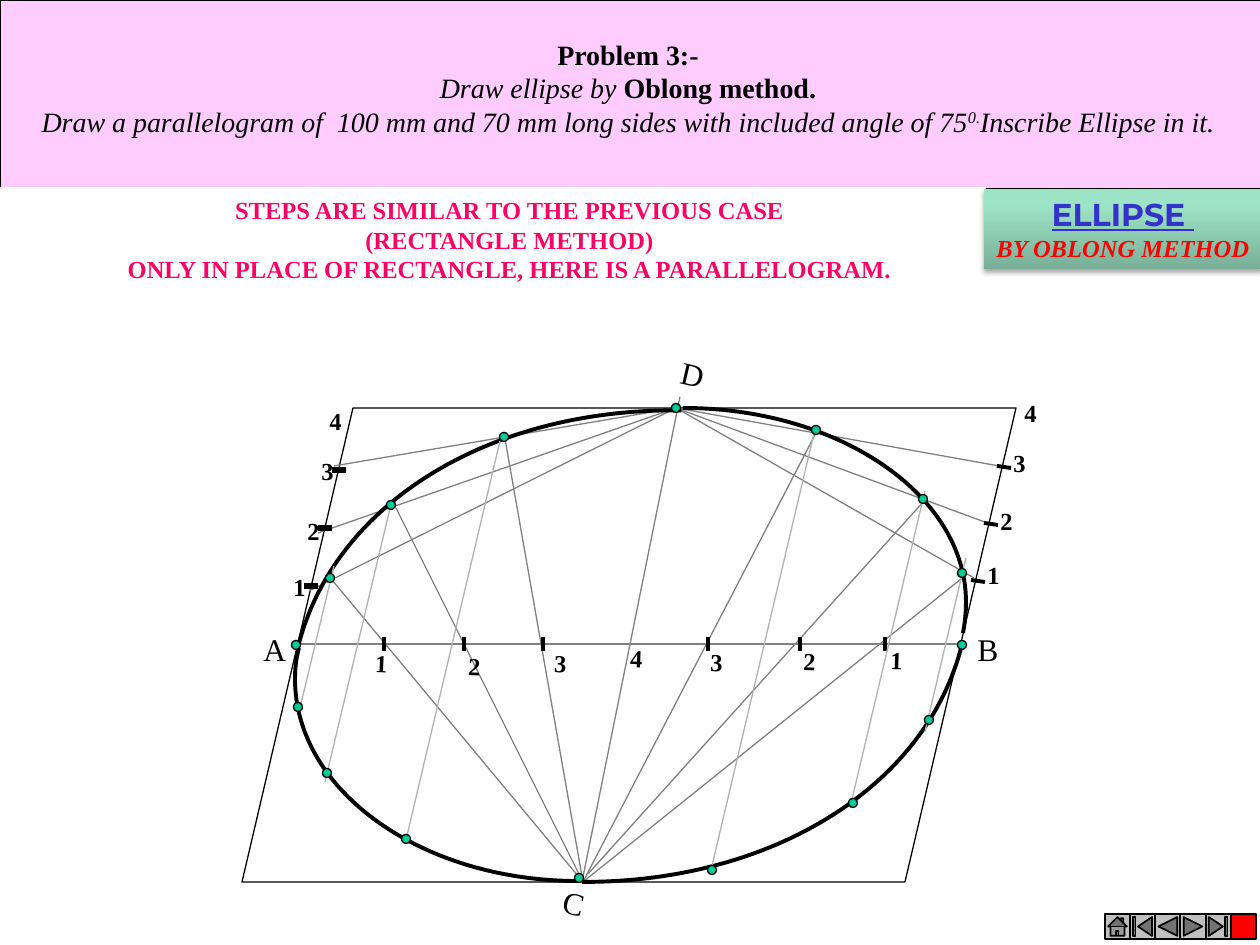
from lxml.etree import SubElement
from pptx import Presentation
from pptx.dml.color import RGBColor
from pptx.enum.shapes import MSO_CONNECTOR, MSO_SHAPE as Shape
from pptx.enum.text import MSO_ANCHOR, PP_ALIGN
from pptx.oxml import parse_xml
from pptx.oxml.ns import nsdecls, qn
from pptx.util import Pt

PX = 914400 // 126
THEME = dict(
    black="000000", white="FFFFFF", ray="808080", chord="B2B2B2", dot="00CC99",
    banner="FFCCFF", steps="FF0066", title="3333CC", method="FF0000",
    button="C0C0C0", shade="79AF98", mint="9DE3C5",
    serif="Times New Roman", sans="Montserrat",
    heading=16, vertex=18, body=14, thin=0.75, tick=2.25, heavy=3,
)

# Wording: paragraphs of (text, style) runs
PROBLEM = [
    [("Problem 3:-", "b")],
    [("Draw ellipse by ", "i"), ("Oblong method.", "b")],
    [("Draw a parallelogram of  100 mm and 70 mm long sides with included angle of 75", "i"),
     ("0.", "i^"), ("Inscribe Ellipse in it.", "i")],
]
STEPS = [
    [("STEPS ARE SIMILAR TO THE PREVIOUS CASE", "b")],
    [("(RECTANGLE METHOD)", "b")],
    [("ONLY IN PLACE OF RECTANGLE, HERE IS A PARALLELOGRAM.", "b")],
]
TOPIC = [[("ELLIPSE ", "bu")], [("BY OBLONG METHOD", "bi")]]

# Construction, in px
C, D = (583, 882), (676, 408)
OBLONG, SLANT = (242, 408, 774, 474), 111
RAYS = [
    ((680, 397), (583, 877)), ((588, 874), (925, 500)), ((301, 644), (966, 644)),
    *[(C, end) for end in [(328, 575), (396, 508), (504, 433), (966, 575), (816, 433)]],
    *[(D, end) for end in [(309, 591), (318, 533), (334, 466),
                           (974, 578), (990, 524), (999, 466)]],
]
CHORDS = [
    ((334, 566), (300, 708)), ((392, 500), (325, 782)), ((500, 441), (406, 840)),
    ((966, 558), (925, 732)), ((816, 425), (712, 866)), ((925, 491), (850, 808)),
]
AXIS_TICKS = [384, 464, 543, 708, 800, 885]
# Each arc: box, rotation, then a start and two controls and an end per cubic, within the box
LONG_ARC = [(137, 320), (323, 276), (450, 146), (451, 0)]
ARCS = [
    ((331, 384, 451, 320), 194.1, LONG_ARC),
    ((480, 587, 451, 320), 13.5, LONG_ARC),
    ((683, 408, 283, 225), 0,
     [(0, 0), (156, 0), (283, 87), (283, 194), (283, 205), (282, 215), (280, 225)]),
    ((295, 648, 283, 233), 0,
     [(283, 233), (127, 233), (0, 143), (0, 31), (0, 21), (1, 10), (4, 0)]),
]
DOTS = [
    (298, 707), (327, 773), (406, 839), (579, 878), (712, 870), (853, 803), (929, 720),
    (296, 645), (330, 578), (391, 505), (962, 645), (962, 573), (923, 499), (816, 430),
    (504, 437), (676, 408),
]
VERTICES = [("C", 551, 878, 13), ("D", 669, 349, 13), ("A", 251, 624, 0), ("B", 965, 624, 0)]
DIVISIONS = [  # rotation, then numbers with their places
    (0, [("1", 281, 566), ("2", 295, 510), ("3", 309, 450), ("4", 317, 400)]),
    (2.3, [("1", 363, 642), ("2", 456, 645), ("3", 542, 642), ("4", 618, 637)]),
    (1.7, [("3", 698, 641), ("2", 791, 640), ("1", 878, 639)]),
    (0, [("1", 975, 554), ("2", 988, 500), ("3", 1001, 442), ("4", 1012, 392)]),
]
BUTTONS = [
    Shape.ACTION_BUTTON_HOME, Shape.ACTION_BUTTON_BEGINNING,
    Shape.ACTION_BUTTON_BACK_OR_PREVIOUS, Shape.ACTION_BUTTON_FORWARD_OR_NEXT,
    Shape.ACTION_BUTTON_END, Shape.ACTION_BUTTON_CUSTOM,
]

deck = Presentation()
deck.slide_width, deck.slide_height = 1260 * PX, 945 * PX
slide = deck.slides.add_slide(deck.slide_layouts[6])


def color(name):
    return RGBColor.from_string(THEME[name])


def add_line(start, end, ink, width):
    line = slide.shapes.add_connector(
        MSO_CONNECTOR.STRAIGHT, *[v * PX for v in (*start, *end)])
    line.line.color.rgb, line.line.width = color(ink), Pt(THEME[width])
    SubElement(line._element.spPr, qn("a:effectLst"))


def add_block(kind, box, fill, ink=None, width=0.75):
    block = slide.shapes.add_shape(kind, *[round(v * PX) for v in box])
    block.shadow.inherit = False
    block.fill.solid()
    block.fill.fore_color.rgb = color(fill)
    if ink:
        block.line.color.rgb, block.line.width = color(ink), Pt(width)
    else:
        block.line.fill.background()
    return block


def add_arc(box, turn, points):
    builder = slide.shapes.build_freeform(*points[0], scale=PX)
    builder.add_line_segments(points[1:], close=False)
    arc = builder.convert_to_shape()
    arc.left, arc.top, arc.width, arc.height = [v * PX for v in box]
    arc.rotation = turn
    arc.shadow.inherit = False
    arc.fill.background()
    arc.line.color.rgb, arc.line.width = color("black"), Pt(THEME["tick"])
    # Turn the straight segments into cubics measured in the box
    outline = next(arc._element.iter(qn("a:path")))
    for segment in list(outline):
        outline.remove(segment)
    outline.set("w", str(box[2]))
    outline.set("h", str(box[3]))
    for i, (x, y) in enumerate(points):
        if i == 0 or i % 3 == 1:
            segment = SubElement(outline, qn("a:cubicBezTo" if i else "a:moveTo"))
        SubElement(segment, qn("a:pt"), x=str(x), y=str(y))


def write(holder, paragraphs, looks, wrap=False, align=PP_ALIGN.CENTER):
    """looks gives (size, colour, face) for each paragraph."""
    frame = holder.text_frame
    frame.word_wrap, frame.vertical_anchor = wrap, MSO_ANCHOR.TOP
    for i, (runs, (size, ink, face)) in enumerate(zip(paragraphs, looks)):
        paragraph = frame.add_paragraph() if i else frame.paragraphs[0]
        paragraph.alignment = align
        for text, style in runs:
            run = paragraph.add_run()
            run.text = text
            font = run.font
            font.size, font.name, font.color.rgb = Pt(THEME[size]), THEME[face], color(ink)
            font.bold, font.italic, font.underline = "b" in style, "i" in style, "u" in style
            if "^" in style:
                font._element.set("baseline", "30000")


def add_label(text, x, y, turn, size, style, side):
    label = slide.shapes.add_textbox(x * PX, y * PX, side[0] * PX, side[1] * PX)
    label.rotation = turn
    write(label, [[(text, style)]], [(size, "black", "serif")], align=PP_ALIGN.LEFT)


# Parallelogram with its rays and division ticks
oblong = add_block(Shape.PARALLELOGRAM, OBLONG, "white", "black")
oblong.adjustments[0] = SLANT / OBLONG[3]
for start, end in RAYS:
    add_line(start, end, "ray", "thin")
for x in AXIS_TICKS:
    add_line((x, 637), (x, 651), "black", "tick")
for i in range(3):
    x, y = 304 + 14 * i, 586 - 58 * i
    add_line((x, y), (x + 14, y), "black", "heavy")
    x, y = 971 + 13 * i, 580 - 57 * i
    add_line((x, y), (x + 14, y + 2), "black", "tick")

# Ellipse arcs, chords and points
for arc in ARCS:
    add_arc(*arc)
for start, end in CHORDS:
    add_line(start, end, "chord", "thin")
for x, y in DOTS:
    add_block(Shape.OVAL, (x - 4.5, y - 4.5, 9, 9), "dot", "black")

# Letters and numbers
for text, x, y, turn in VERTICES:
    add_label(text, x, y, turn, "vertex", "", (47, 50))
for turn, numbers in DIVISIONS:
    for text, x, y in numbers:
        add_label(text, x, y, turn, "body", "b", (38, 42))

# Problem banner
add_block(Shape.RECTANGLE, (0, 0, 1262, 189), "banner", "black")
problem = slide.shapes.add_textbox(0, 31 * PX, 1256 * PX, 115 * PX)
write(problem, PROBLEM, [("heading", "black", "serif")] * 3, wrap=True)

# Steps note
add_block(Shape.RECTANGLE, (0, 189, 984, 105), "white", "white", 2)
steps_note = add_block(Shape.RECTANGLE, (115, 189, 789, 68), "white", "white", 2)
write(steps_note, STEPS, [("body", "steps", "serif")] * 3)

# Topic plate with gradient and shadow
topic = add_block(Shape.RECTANGLE, (984, 189, 278, 80), "mint")
topic.fill.gradient()
topic.fill.gradient_angle = 90
for stop, position, tint in zip(topic.fill.gradient_stops, (0, 0.8), ("shade", "mint")):
    stop.position, stop.color.rgb = position, color(tint)
topic._element.spPr.find(qn("a:effectLst")).append(parse_xml(
    f'<a:outerShdw {nsdecls("a")} blurRad="39370" dist="22860" dir="5400000" rotWithShape="0">'
    '<a:srgbClr val="000000"><a:alpha val="35000"/></a:srgbClr></a:outerShdw>'))
write(topic, TOPIC, [("vertex", "title", "sans"), ("body", "method", "serif")])

# Navigation buttons
for i, kind in enumerate(BUTTONS):
    fill = "method" if kind == Shape.ACTION_BUTTON_CUSTOM else "button"
    add_block(kind, (1105 + 25.2 * i, 914, 25, 25), fill, "black", 1)

deck.save("out.pptx")
